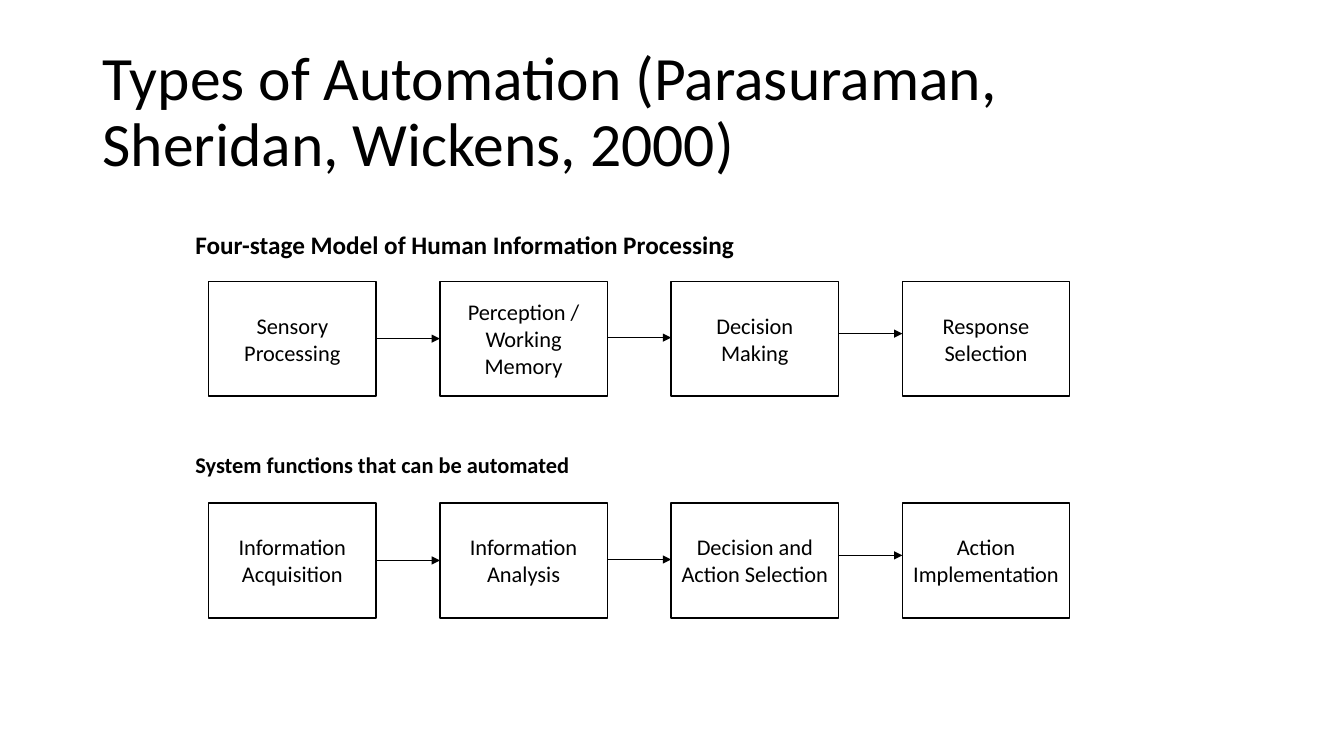
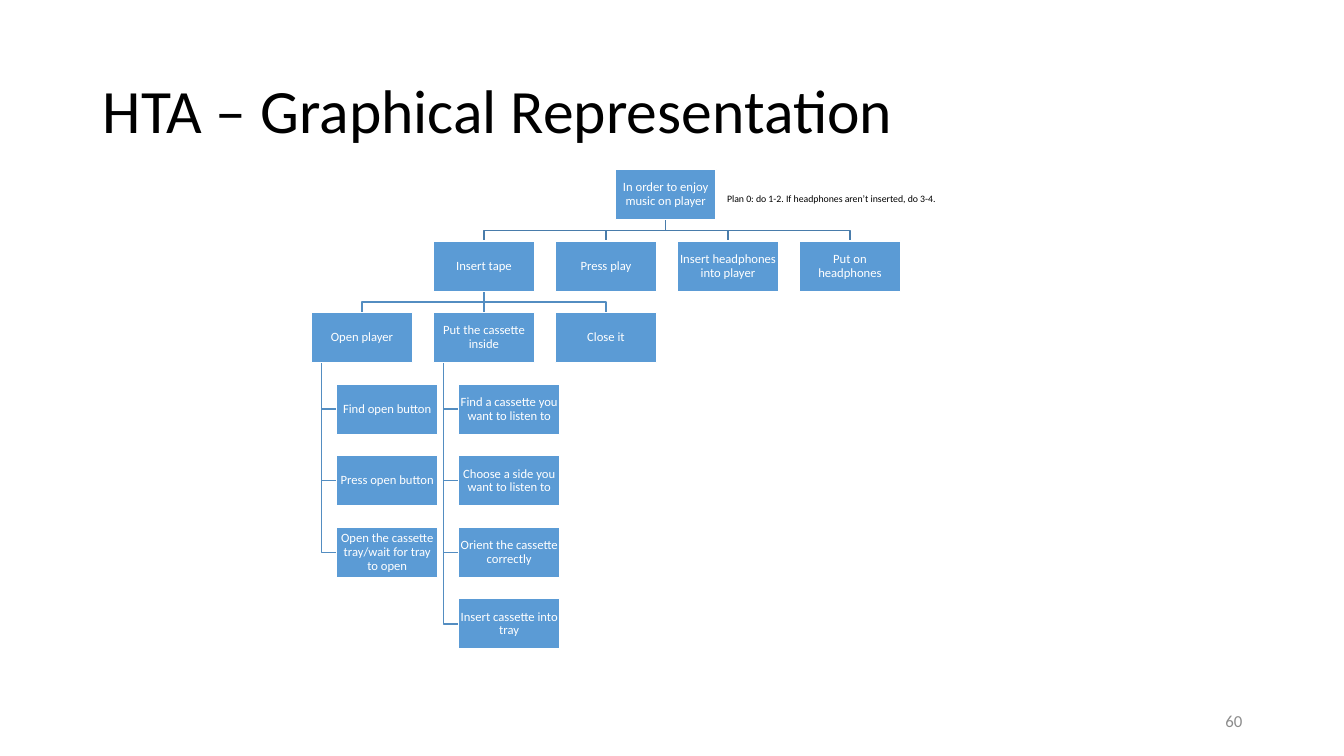
"""Build two slides: types of automation and a hierarchical task analysis tree."""
from lxml import etree
from pptx import Presentation
from pptx.dml.color import RGBColor
from pptx.enum.shapes import MSO_CONNECTOR, MSO_SHAPE
from pptx.enum.text import MSO_ANCHOR, PP_ALIGN
from pptx.oxml.ns import qn
from pptx.util import Inches, Pt

STRAIGHT = MSO_CONNECTOR.STRAIGHT
RECTANGLE = MSO_SHAPE.RECTANGLE
TOP, MIDDLE = MSO_ANCHOR.TOP, MSO_ANCHOR.MIDDLE
LEFT, CENTER, RIGHT = PP_ALIGN.LEFT, PP_ALIGN.CENTER, PP_ALIGN.RIGHT

FONT = "Calibri"
BLACK = RGBColor(0x00, 0x00, 0x00)
WHITE = RGBColor(0xFF, 0xFF, 0xFF)
GREY = RGBColor(0x8C, 0x8C, 0x8C)
TASK_BLUE = RGBColor(0x5B, 0x9B, 0xD5)
TOP_LINK = RGBColor(0x49, 0x7C, 0xAB)
LOWER_LINK = RGBColor(0x53, 0x8D, 0xC1)

AUTOMATION_TITLE = "Types of Automation (Parasuraman, Sheridan, Wickens, 2000)"
FLOWS = [
    ("Four-stage Model of Human Information Processing", 18, 2.23, 2.79,
     ["Sensory Processing", "Perception / Working Memory",
      "Decision Making", "Response Selection"]),
    ("System functions that can be automated", 16, 4.43, 4.99,
     ["Information Acquisition", "Information Analysis",
      "Decision and Action Selection", "Action Implementation"]),
]
STAGE_LEFT, STAGE_LAST_LEFT = 2.07, 8.95
STAGE_WIDTH, STAGE_HEIGHT = 1.66, 1.14
ARROW_DROPS = [0.57, 0.56, 0.52]

TREE_TITLE = "HTA – Graphical Representation"
PLAN = "Plan 0: do 1-2. If headphones aren’t inserted, do 3-4."
PAGE_NUMBER = "60"
GOAL = ("In order to enjoy music on player", 2.49, [
    ("Insert tape", 1, [
        ("Open player", 0, ["Find open button", "Press open button",
                            "Open the cassette tray/wait for tray to open"]),
        ("Put the cassette inside", 1, ["Find a cassette you want to listen to",
                                        "Choose a side you want to listen to",
                                        "Orient the cassette correctly",
                                        "Insert cassette into tray"]),
        ("Close it", 2, []),
    ]),
    ("Press play", 2, []),
    ("Insert headphones into player", 3, []),
    ("Put on headphones", 4, []),
])
TREE_LEFT, TREE_TOP = 3.09, 1.68
COLUMN_PITCH, ROW_PITCH = 1.21, 0.71
TASK_WIDTH, TASK_HEIGHT = 1, 0.5
STEP_INDENT, RAIL_INDENT = 0.25, 0.1


def write(shape, text, size, color=BLACK, align=LEFT, anchor=TOP,
          bold=False, spacing=1.0, inset=None):
    frame = shape.text_frame
    frame.word_wrap = True
    frame.vertical_anchor = anchor
    if inset is not None:
        frame.margin_left = frame.margin_right = Inches(inset)
        frame.margin_top = frame.margin_bottom = Inches(inset)
    paragraph = frame.paragraphs[0]
    paragraph.text = text
    paragraph.alignment = align
    paragraph.line_spacing = spacing
    paragraph.font.name = FONT
    paragraph.font.size = Pt(size)
    paragraph.font.bold = bold
    paragraph.font.color.rgb = color


def add_label(slide, box, text, size, **style):
    write(slide.shapes.add_textbox(*map(Inches, box)), text, size, **style)


def add_box(slide, box, text, size, fill, outline, **style):
    shape = slide.shapes.add_shape(RECTANGLE, *map(Inches, box))
    shape.shadow.inherit = False
    shape.fill.solid()
    shape.fill.fore_color.rgb = fill
    shape.line.color.rgb = outline
    shape.line.width = Pt(1)
    write(shape, text, size, align=CENTER, anchor=MIDDLE, **style)


def add_line(slide, start, end, color, width, arrow=False):
    line = slide.shapes.add_connector(STRAIGHT, *map(Inches, start + end))
    line.line.color.rgb = color
    line.line.width = Pt(width)
    properties = line._element.spPr
    if arrow:
        etree.SubElement(line.line._get_or_add_ln(), qn("a:tailEnd"), type="triangle")
    etree.SubElement(properties, qn("a:effectLst"))


def add_link(slide, points, color):
    if len({x for x, _ in points}) == 1:
        add_line(slide, points[0], points[-1], color, 1)
        return
    corners = [(Inches(x), Inches(y)) for x, y in points]
    builder = slide.shapes.build_freeform(*corners[0])
    builder.add_line_segments(corners[1:], close=False)
    link = builder.convert_to_shape()
    link.shadow.inherit = False
    link.fill.background()
    link.line.color.rgb = color
    link.line.width = Pt(1)


def add_titled_slide(deck, title):
    slide = deck.slides.add_slide(deck.slide_layouts[6])
    add_label(slide, (0.92, 0.4, 11.5, 1.45), title, 44, anchor=MIDDLE, spacing=0.9)
    return slide


def add_flow(slide, heading, size, heading_top, top, stages):
    add_label(slide, (1.84, heading_top, 5.6, 0.4), heading, size, bold=True)
    pitch = (STAGE_LAST_LEFT - STAGE_LEFT) / (len(stages) - 1)
    lefts = [STAGE_LEFT + pitch * index for index in range(len(stages))]
    for left, stage in zip(lefts, stages):
        add_box(slide, (left, top, STAGE_WIDTH, STAGE_HEIGHT), stage, 16, WHITE, BLACK)
    for left, following, drop in zip(lefts, lefts[1:], ARROW_DROPS):
        add_line(slide, (left + STAGE_WIDTH, top + drop), (following, top + drop),
                 BLACK, 0.5, arrow=True)


def add_task(slide, left, top, label):
    add_box(slide, (left, top, TASK_WIDTH, TASK_HEIGHT), label, 9, TASK_BLUE, WHITE,
            color=WHITE, spacing=0.9, inset=0.01)


def column_left(column):
    return TREE_LEFT + COLUMN_PITCH * column


def add_branch(slide, task, row=0):
    label, column, children = task
    left, top = column_left(column), TREE_TOP + ROW_PITCH * row
    bottom, center = top + TASK_HEIGHT, left + TASK_WIDTH / 2
    next_top = top + ROW_PITCH
    bend = (bottom + next_top) / 2
    for index, child in enumerate(children):
        if isinstance(child, str):
            step_left, step_top = left + STEP_INDENT, next_top + ROW_PITCH * index
            rail, step_middle = left + RAIL_INDENT, step_top + TASK_HEIGHT / 2
            add_link(slide, [(rail, bottom), (rail, step_middle),
                             (step_left, step_middle)], LOWER_LINK)
            add_task(slide, step_left, step_top, child)
        else:
            child_center = column_left(child[1]) + TASK_WIDTH / 2
            add_link(slide, [(center, bottom), (center, bend), (child_center, bend),
                             (child_center, next_top)], LOWER_LINK if row else TOP_LINK)
            add_branch(slide, child, row + 1)
    add_task(slide, left, top, label)


def main():
    deck = Presentation()
    deck.slide_width, deck.slide_height = Inches(13.33), Inches(7.5)

    automation = add_titled_slide(deck, AUTOMATION_TITLE)
    for flow in FLOWS:
        add_flow(automation, *flow)

    tree = add_titled_slide(deck, TREE_TITLE)
    add_branch(tree, GOAL)
    add_label(tree, (7.19, 1.73, 2.11, 0.5), PLAN, 7, align=CENTER, anchor=MIDDLE,
              spacing=0.9, inset=0)
    add_label(tree, (9.42, 6.95, 3, 0.4), PAGE_NUMBER, 12, color=GREY, align=RIGHT,
              anchor=MIDDLE)

    deck.save("out.pptx")


if __name__ == "__main__":
    main()
